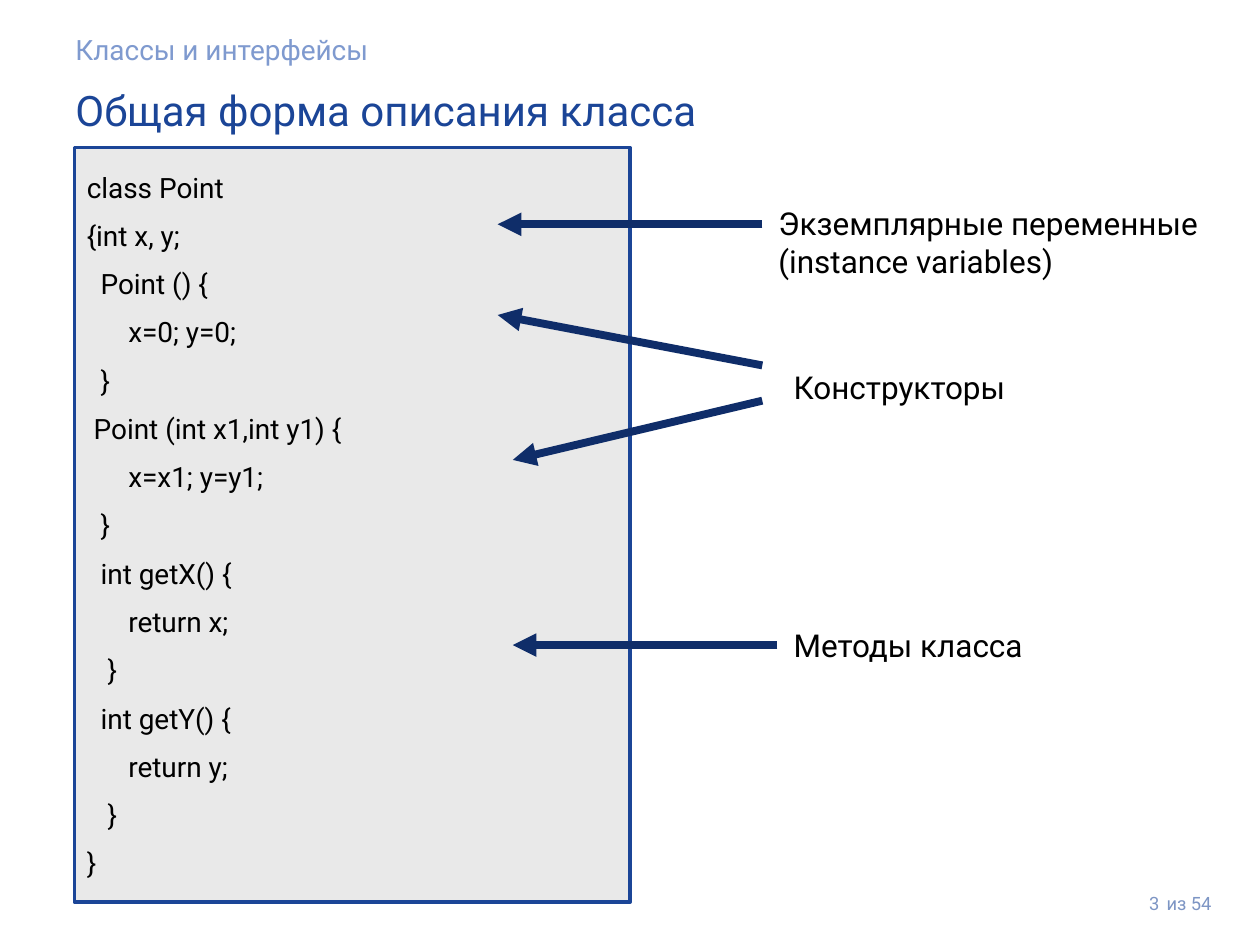
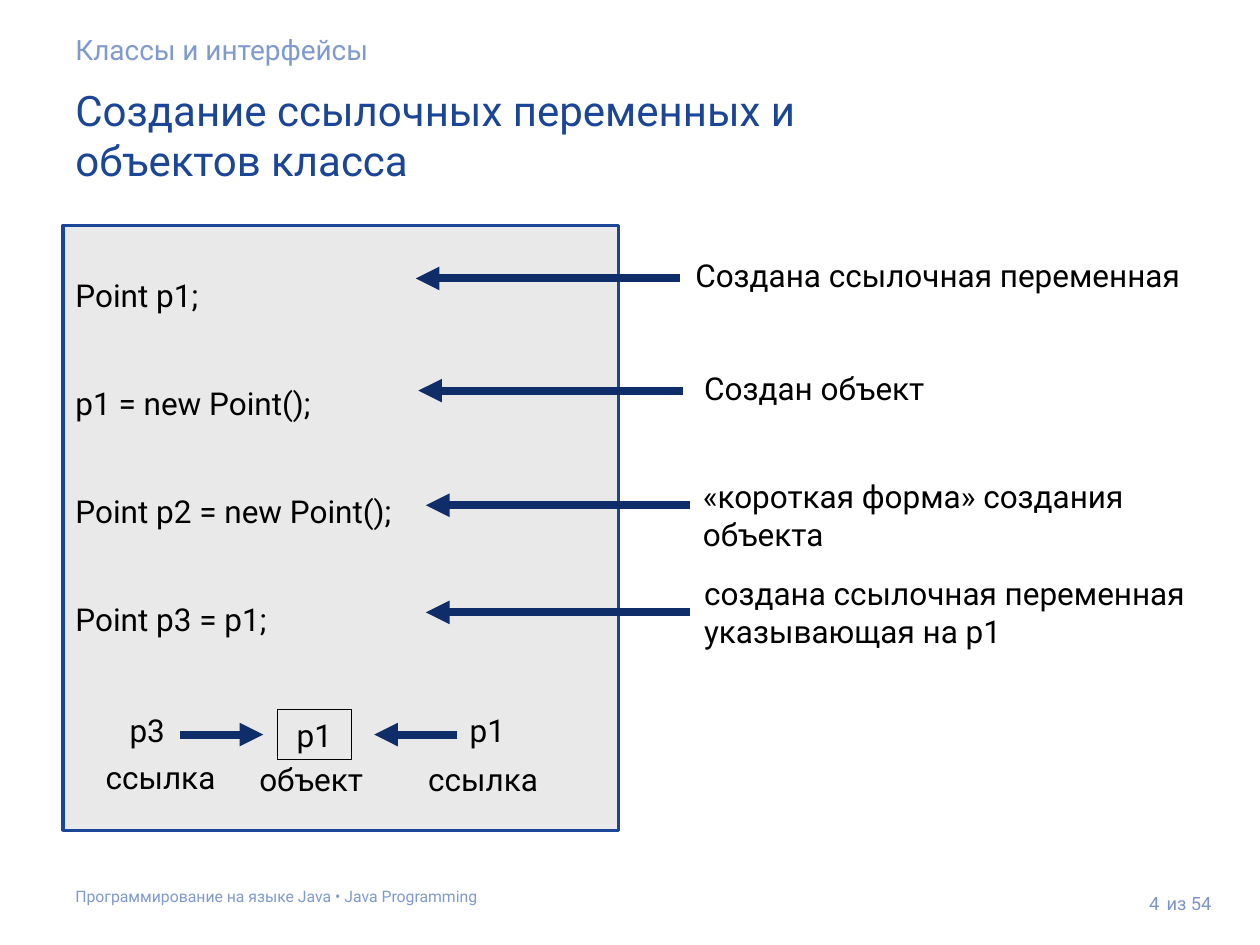
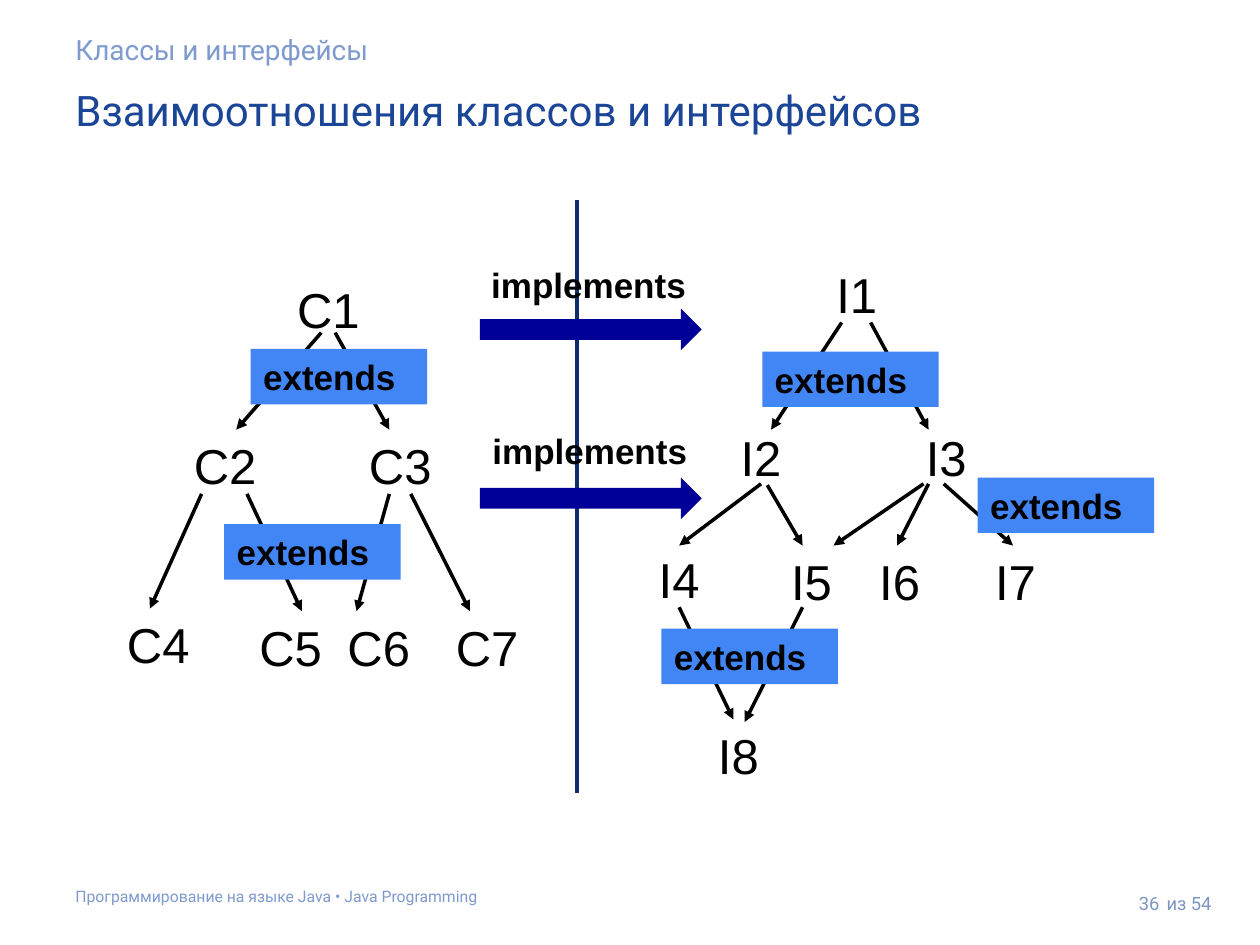
from itertools import repeat

from lxml.etree import SubElement
from pptx import Presentation
from pptx.dml.color import RGBColor
from pptx.enum.shapes import MSO_CONNECTOR as Connector, MSO_SHAPE as Preset
from pptx.enum.text import MSO_ANCHOR as Anchor, PP_ALIGN as Align
from pptx.oxml.ns import qn
from pptx.util import Inches, Pt

COLUMNS, ROWS = 100, 75
BLUE, PALE_BLUE, PAGE_BLUE, NAVY = "1B4597", "7F9ACF", "7D95C4", "0F2D69"
BLACK, GRAY, LABEL_BLUE, ARROW_BLUE = "000000", "E9E9E9", "4285F4", "000099"
TOPIC = "Классы и интерфейсы"
FOOTER = "Программирование на языке Java • Java Programming"
TOTAL = "из 54"
SPACE_WIDTH = 0.55


def color(value):
    """Turn a hex string into a colour."""
    return RGBColor.from_string(value)


def write_text(frame, lines, size=18, font="Roboto", ink=BLACK, bold=False, align=Align.LEFT,
               anchor=Anchor.TOP, before=0, indents=repeat(0), top=Inches(0.05)):
    """Write lines as paragraphs of a text frame in one format."""
    frame.word_wrap = True
    frame.vertical_anchor = anchor
    frame.margin_top = top
    for index, (line, indent) in enumerate(zip(lines, indents)):
        paragraph = frame.add_paragraph() if index else frame.paragraphs[0]
        paragraph.alignment = align
        paragraph.space_before = Pt(before if index else 0)
        if indent:
            paragraph._p.get_or_add_pPr().set("marL", str(int(indent)))
        run = paragraph.add_run()
        run.text = line
        run.font.size, run.font.name, run.font.bold = Pt(size), font, bold
        run.font.color.rgb = color(ink)


class Deck:
    """Hold the deck's style and its current slide."""

    def __init__(self):
        """Start a deck whose slides share one grid."""
        self.presentation = Presentation()
        self.presentation.slide_width = Inches(10)
        self.presentation.slide_height = Inches(7.5)
        self.slide = None

    def across(self, columns):
        """Turn columns into a length."""
        return round(self.presentation.slide_width * columns / COLUMNS)

    def down(self, rows):
        """Turn rows into a length."""
        return round(self.presentation.slide_height * rows / ROWS)

    def place(self, left, top, width, height):
        """Turn a grid box into lengths."""
        return self.across(left), self.down(top), self.across(width), self.down(height)

    def new_slide(self, title, number, title_width=91.9, footer=True):
        """Add a slide with its topic, title, footer and page number."""
        self.slide = self.presentation.slides.add_slide(self.presentation.slide_layouts[6])
        inset = self.down(1)
        self.text([TOPIC], 5, 1.6, 91.9, 4.7, size=16, ink=PALE_BLUE, top=inset)
        self.text([title], 5, 5.7, title_width, 6.1, size=24, ink=BLUE, top=inset)
        if footer:
            self.text([FOOTER], 5, 69.4, 80, 3.5, size=9, ink=PALE_BLUE, top=inset)
        page = dict(size=10.5, ink=PAGE_BLUE, anchor=Anchor.MIDDLE)
        self.text([TOTAL], 91.6, 69.7, 6.9, 4, **page)
        self.text([str(number)], 87, 69.7, 6, 4, align=Align.RIGHT, **page)

    def text(self, lines, left, top_row, width, height=4, **style):
        """Add a text box."""
        box = self.slide.shapes.add_textbox(*self.place(left, top_row, width, height))
        write_text(box.text_frame, lines, **style)
        return box

    def shape(self, left, top_row, width, height, fill=None, line=None, weight=2,
              preset=Preset.RECTANGLE, lines=(), **style):
        """Add a preset shape with optional text."""
        shape = self.slide.shapes.add_shape(preset, *self.place(left, top_row, width, height))
        shape.shadow.inherit = False
        if fill:
            shape.fill.solid()
            shape.fill.fore_color.rgb = color(fill)
        else:
            shape.fill.background()
        if line:
            shape.line.color.rgb = color(line)
            shape.line.width = Pt(weight)
        else:
            shape.line.fill.background()
        write_text(shape.text_frame, lines, **style)
        return shape

    def code(self, left, top_row, height, lines, **style):
        """Add a framed code panel."""
        self.shape(left, top_row, 44.1, height, GRAY, BLUE, lines=lines, **style)

    def line(self, x1, y1, x2, y2, ink=NAVY, weight=4.5, head=True, target=None):
        """Add a line or arrow, joined to the target's top side if given."""
        ends = self.across(x1), self.down(y1), self.across(x2), self.down(y2)
        connector = self.slide.shapes.add_connector(Connector.STRAIGHT, *ends)
        connector.line.color.rgb = color(ink)
        connector.line.width = Pt(weight)
        if head:
            SubElement(connector.line._get_or_add_ln(), qn("a:tailEnd"), type="triangle")
        SubElement(connector._element.spPr, qn("a:effectLst"))
        if target is not None:
            connector.end_connect(target, 0)


def class_form_slide(deck):
    """Build the slide on the general form of a class."""
    deck.new_slide("Общая форма описания класса", 3, footer=False)
    code = [(0, "class Point"), (0, "{int x, y;"), (2, "Point () {"), (6, "x=0; y=0;"),
            (2, "}"), (1, "Point (int x1,int y1) {"), (6, "x=x1; y=y1;"), (2, "}"),
            (2, "int getX() {"), (6, "return x;"), (3, "}"),
            (2, "int getY() {"), (6, "return y;"), (3, "}"), (0, "}")]
    deck.code(5.9, 11.7, 59.9, [line for _, line in code], size=16, before=8.4,
              anchor=Anchor.MIDDLE,
              indents=[deck.across(spaces * SPACE_WIDTH) for spaces, _ in code])
    for arrow in [(60.5, 17.8, 39.5, 17.8), (60.5, 29, 39.5, 25),
                  (60.5, 31.8, 40.7, 36.5), (61.7, 51.2, 40.7, 51.2)]:
        deck.line(*arrow)
    deck.text(["Экземплярные переменные", "(instance variables)"], 60.8, 15.7, 37, 7.1)
    deck.text(["Конструкторы"], 62, 28.7, 28.1)
    deck.text(["Методы класса"], 62, 49.2, 28.1)


def object_creation_slide(deck):
    """Build the slide on references and objects."""
    deck.new_slide("Создание ссылочных переменных и объектов класса", 4, title_width=64.7)
    deck.code(5, 17.9, 48, ["Point p1;", "p1 = new Point();", "Point p2 = new Point();",
                            "Point p3 = p1;"], before=40.2, top=deck.down(4))
    notes = [(54, 22.1, 54.2, 19.8, ["Создана ссылочная переменная"]),
             (54.2, 31, 54.9, 28.8, ["Создан объект"]),
             (54.8, 40.1, 54.8, 37.4, ["«короткая форма» создания объекта"]),
             (54.8, 48.6, 54.9, 45.1, ["создана ссылочная переменная", "указывающая на p1"])]
    for start, row, left, top_row, lines in notes:
        deck.line(start, row, start - 21, row)
        deck.text(lines, left, top_row, 41.3, 7.1)
    deck.shape(22, 56.3, 5.9, 4, line=BLACK, weight=0.75, lines=["p1"], align=Align.CENTER)
    for start, end in [(36.3, 29.7), (14.3, 20.9)]:
        deck.line(start, 58.3, end, 58.3)
    for left, top_row, label in [(9.3, 55.9, "p3"), (36.3, 55.9, "p1"), (7.4, 59.7, "ссылка"),
                                 (33, 59.8, "ссылка"), (19.6, 59.8, "объект")]:
        deck.text([label], left, top_row, 13.7)


def relations_slide(deck):
    """Build the slide on trees of classes and interfaces."""
    deck.new_slide("Взаимоотношения классов и интерфейсов", 36)
    deck.line(45.8, 15.9, 45.8, 62.9, weight=2.5, head=False)
    places = {"C1": (22.6, 21.7), "C2": (14.4, 34.1), "C3": (28.3, 34.1), "C4": (9.1, 48.3),
              "C5": (19.6, 48.5), "C6": (26.6, 48.5), "C7": (35.2, 48.5),
              "I1": (65.4, 20.5), "I2": (57.8, 33.4), "I3": (72.5, 33.4), "I4": (51.3, 43.1),
              "I5": (61.8, 43.3), "I6": (68.8, 43.3), "I7": (78, 43.3), "I8": (56, 57.1)}
    nodes = {name: deck.text([name], *place, 8.7, 5.7, size=28, font="Arial")
             for name, place in places.items()}
    branches = [(25.5, 26.4, 18.7, 34.1, "C2"), (26.6, 26.4, 30.9, 34.1, None),
                (16, 39.2, 11.9, 48.3, None), (19.6, 39.2, 23.9, 48.5, "C5"),
                (30.9, 39.2, 28.3, 48.5, None), (32.6, 39.2, 37.3, 48.5, None),
                (66.8, 25.6, 61.2, 34.1, None), (69.1, 25.6, 73.7, 34.1, None),
                (60.4, 38.4, 53.9, 43.3, None), (60.9, 38.5, 63.7, 43.3, None),
                (73.7, 38.4, 71.2, 43.3, None), (74.9, 38.4, 80.4, 43.3, None),
                (73.3, 38.4, 66.1, 43.3, "I5"), (63.7, 48.2, 59.1, 57.3, None),
                (53.9, 48.2, 58.2, 57.1, None)]
    for *ends, target in branches:
        deck.line(*ends, ink=BLACK, weight=2, target=nodes.get(target))
    label = dict(size=20, font="Arial", bold=True)
    for left, top_row in [(60.5, 27.9), (17.8, 41.6), (19.9, 27.7), (52.5, 49.9), (77.6, 37.9)]:
        deck.shape(left, top_row, 14, 4.4, LABEL_BLUE, lines=["extends"],
                   anchor=Anchor.MIDDLE, **label)
    for left, top_row, arrow_row in [(38.1, 33.6, 37.9), (38, 20.4, 24.5)]:
        deck.shape(38.1, arrow_row, 17.6, 3.3, ARROW_BLUE, preset=Preset.RIGHT_ARROW)
        deck.text(["implements"], left, top_row, 17.6, 4.4, **label)


def main():
    """Build and save the deck."""
    deck = Deck()
    class_form_slide(deck)
    object_creation_slide(deck)
    relations_slide(deck)
    deck.presentation.save("out.pptx")


if __name__ == "__main__":
    main()
